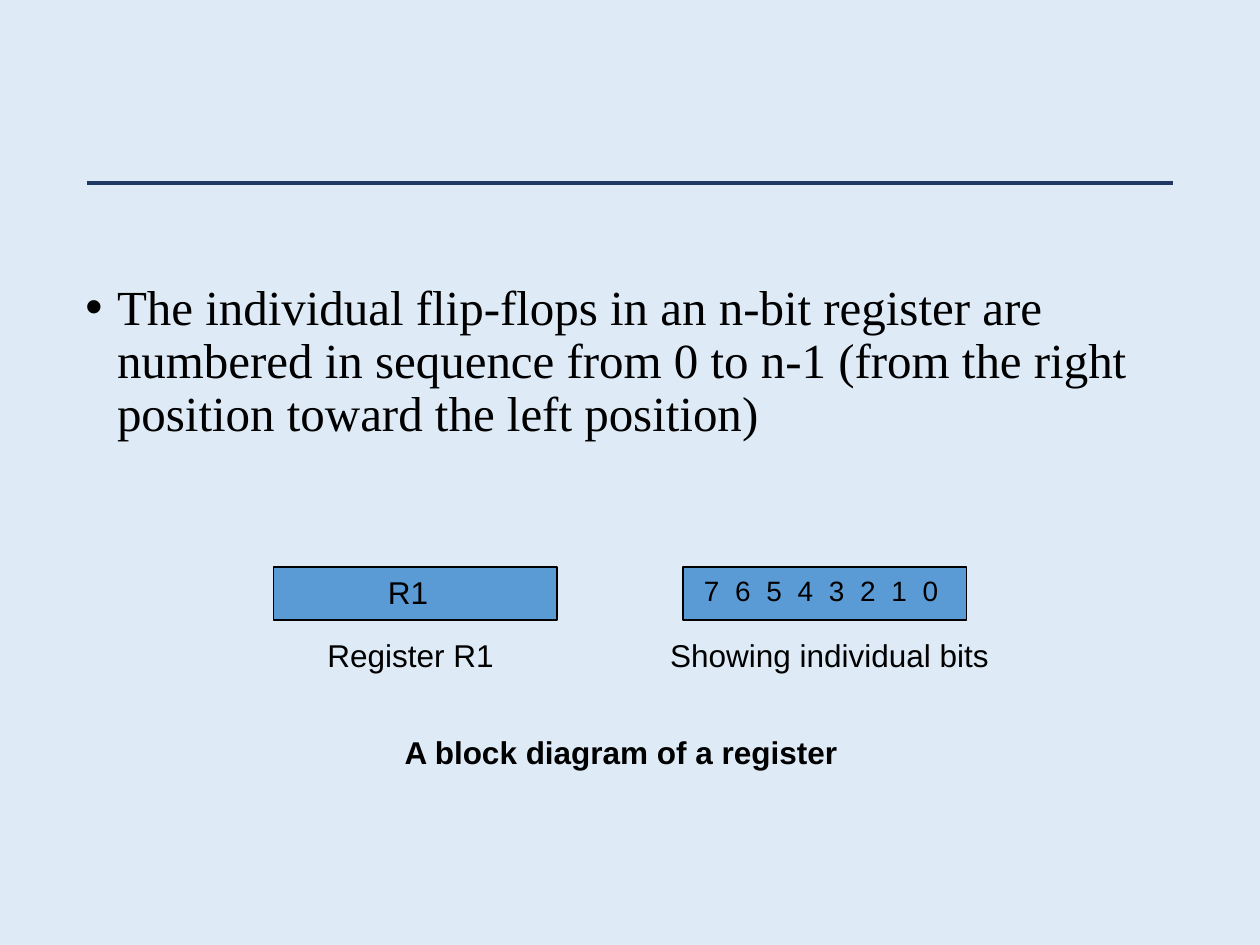
from dataclasses import dataclass

from lxml import etree
from pptx import Presentation
from pptx.dml.color import RGBColor
from pptx.enum.shapes import MSO_CONNECTOR, MSO_SHAPE
from pptx.enum.text import PP_ALIGN
from pptx.oxml.ns import qn
from pptx.util import Cm, Pt

STRAIGHT = MSO_CONNECTOR.STRAIGHT
RECTANGLE = MSO_SHAPE.RECTANGLE
LEFT = PP_ALIGN.LEFT
CENTER = PP_ALIGN.CENTER


@dataclass(frozen=True)
class Theme:
    background: RGBColor = RGBColor(0xDE, 0xEB, 0xF7)
    rule: RGBColor = RGBColor(0x20, 0x38, 0x64)
    register: RGBColor = RGBColor(0x5B, 0x9B, 0xD5)
    ink: RGBColor = RGBColor(0, 0, 0)
    body_font: str = "Times New Roman"
    label_font: str = "Arial"
    body_size: int = 28
    label_size: int = 18
    bit_size: int = 16


THEME = Theme()
REGISTER_TOP = 11.43
REGISTER_WIDTH = 5.72
REGISTER_HEIGHT = 1.07
BIT_COUNT = 8
BIT_PITCH = 0.63


def add_rule(page, left, right, top):
    rule = page.shapes.add_connector(STRAIGHT, Cm(left), Cm(top), Cm(right), Cm(top))
    rule.line.color.rgb = THEME.rule
    rule.line.width = Pt(2.25)
    etree.SubElement(rule.element.spPr, qn("a:effectLst"))


def add_register(page, left):
    box = page.shapes.add_shape(
        RECTANGLE, Cm(left), Cm(REGISTER_TOP), Cm(REGISTER_WIDTH), Cm(REGISTER_HEIGHT)
    )
    box.shadow.inherit = False
    box.fill.solid()
    box.fill.fore_color.rgb = THEME.register
    box.line.color.rgb = THEME.ink
    box.line.width = Pt(0.75)


def add_text(page, text, left, top, width, height=1.02, size=THEME.label_size,
             font=THEME.label_font, bold=False, align=LEFT):
    box = page.shapes.add_textbox(Cm(left), Cm(top), Cm(width), Cm(height))
    box.text_frame.word_wrap = True
    box.text_frame.text = text
    para = box.text_frame.paragraphs[0]
    para.alignment = align
    for span in para.runs:
        span.font.name = font
        span.font.size = Pt(size)
        span.font.bold = bold
        span.font.color.rgb = THEME.ink
    return para


def add_bullet(para, indent):
    properties = para._p.get_or_add_pPr()
    properties.set("marL", str(Cm(indent)))
    properties.set("indent", str(-Cm(indent)))
    etree.SubElement(properties, qn("a:buFont"), typeface=THEME.label_font)
    etree.SubElement(properties, qn("a:buChar"), char="•")


def add_tabs(para, count, pitch):
    tabs = etree.SubElement(para._p.get_or_add_pPr(), qn("a:tabLst"))
    for stop in range(1, count + 1):
        etree.SubElement(tabs, qn("a:tab"), pos=str(Cm(stop * pitch)), algn="l")


def main():
    deck = Presentation()
    deck.slide_width = Cm(25.4)
    deck.slide_height = Cm(19.05)
    page = deck.slides.add_slide(deck.slide_layouts[6])
    page.background.fill.solid()
    page.background.fill.fore_color.rgb = THEME.background

    add_rule(page, 1.75, 23.65, 3.68)
    statement = add_text(
        page,
        "The individual flip-flops in an n-bit register are numbered in sequence "
        "from 0 to n-1 (from the right position toward the left position)",
        1.47, 5.59, 23.93, 9.58, THEME.body_size, THEME.body_font,
    )
    statement.line_spacing = 0.9
    add_bullet(statement, 0.64)

    for left in (5.51, 13.77):
        add_register(page, left)
    add_text(page, "R1", 7.57, REGISTER_TOP, 1.47)
    bits = "\t".join(str(bit) for bit in reversed(range(BIT_COUNT)))
    numbers = add_text(page, bits, 13.94, REGISTER_TOP, 5.28, 0.94, THEME.bit_size)
    add_tabs(numbers, BIT_COUNT - 1, BIT_PITCH)

    add_text(page, "Register R1", 6.35, 12.7, 4.01)
    add_text(page, "Showing individual bits", 13.26, 12.7, 7.42)
    add_text(page, "A block diagram of a register", 7.44, 14.66, 10.16,
             bold=True, align=CENTER)

    deck.save("out.pptx")


if __name__ == "__main__":
    main()
